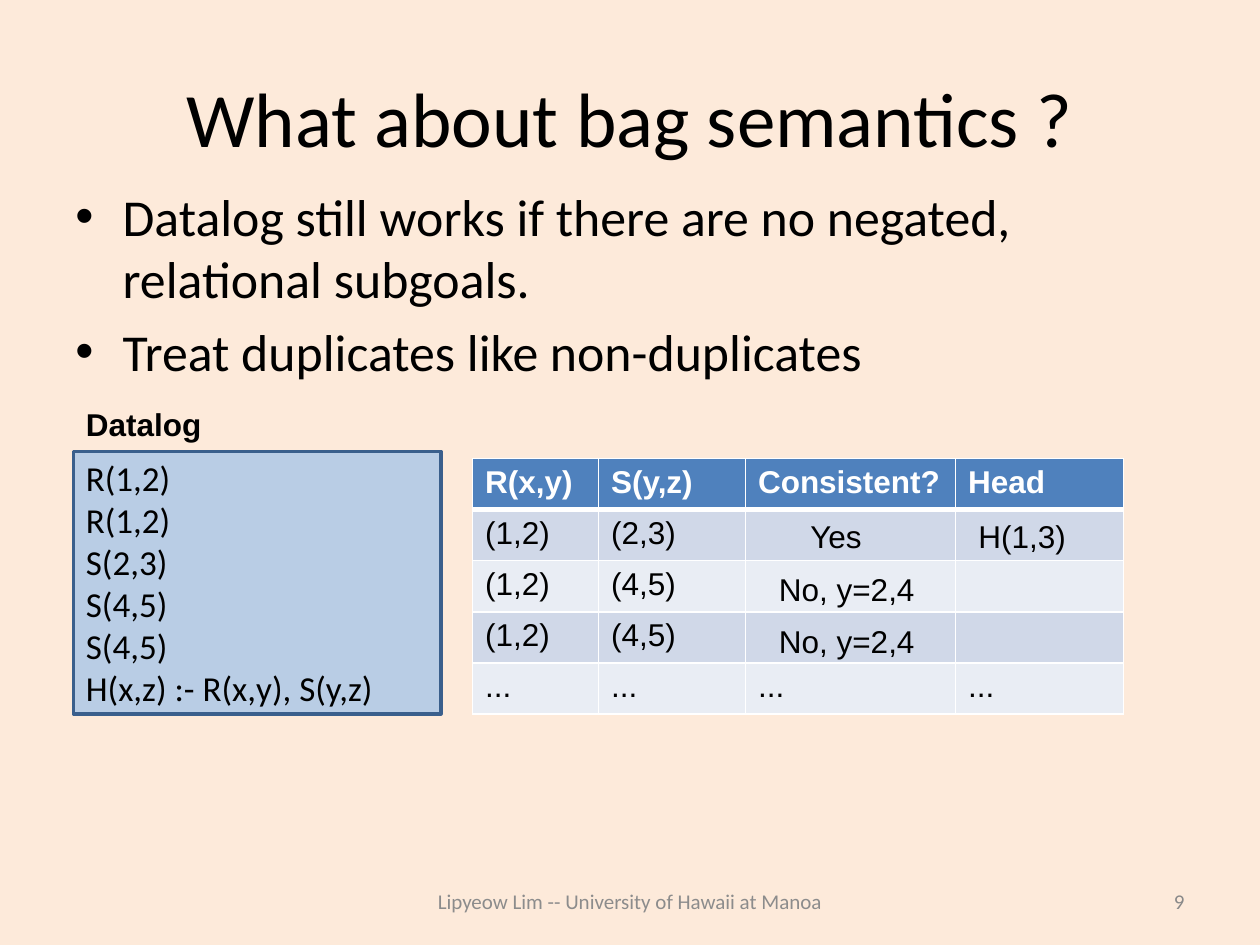
from lxml.etree import SubElement
from pptx import Presentation
from pptx.dml.color import RGBColor
from pptx.enum.shapes import MSO_SHAPE
from pptx.enum.text import MSO_ANCHOR as ANCHOR, MSO_AUTO_SIZE as AUTO, PP_ALIGN as ALIGN
from pptx.oxml.ns import qn
from pptx.util import Pt

PEACH = RGBColor(0xFD, 0xEA, 0xDA)
BLACK = RGBColor(0, 0, 0)
WHITE = RGBColor(0xFF, 0xFF, 0xFF)
FOOTER_GRAY = RGBColor(0x8C, 0x8C, 0x8C)
NUMBER_GRAY = RGBColor(0x89, 0x89, 0x89)
BOX_FILL = RGBColor(0xB9, 0xCD, 0xE5)
BOX_LINE = RGBColor(0x3A, 0x5F, 0x8C)
HEADER_BLUE = RGBColor(0x4F, 0x81, 0xBD)
BAND_DARK = RGBColor(0xD0, 0xD8, 0xE8)
BAND_LIGHT = RGBColor(0xE9, 0xED, 0xF4)


def write(tf, text, size=18, font="Arial", color=BLACK, bold=False,
          align=ALIGN.LEFT, anchor=None, bullet=False, gap=0):
    """Fill a text frame, one paragraph per line of text."""
    if anchor is not None:
        tf.vertical_anchor = anchor
    for i, line in enumerate(text.split("\n")):
        p = tf.add_paragraph() if i else tf.paragraphs[0]
        p.alignment = align
        if bullet:
            pPr = p._p.get_or_add_pPr()
            pPr.set("marL", str(Pt(27)))
            pPr.set("indent", str(Pt(-27)))
            SubElement(pPr, qn("a:buFont"), typeface="Arial")
            SubElement(pPr, qn("a:buChar"), char="•")
        if i and gap:
            p.space_before = Pt(gap)
        r = p.add_run()
        r.text = line
        r.font.size, r.font.name, r.font.bold = Pt(size), font, bold
        r.font.color.rgb = color


def add_text(left, top, width, height, text, wrap=True, **fmt):
    tf = s.shapes.add_textbox(Pt(left), Pt(top), Pt(width), Pt(height)).text_frame
    tf.word_wrap = wrap
    tf.auto_size = AUTO.NONE if wrap else AUTO.SHAPE_TO_FIT_TEXT
    write(tf, text, **fmt)


prs = Presentation()
prs.slide_width, prs.slide_height = Pt(720), Pt(540)
s = prs.slides.add_slide(prs.slide_layouts[6])
s.background.fill.solid()
s.background.fill.fore_color.rgb = PEACH

# Title and bullets
add_text(36, 21.6, 648, 90, "What about bag semantics ?", size=44, font="Calibri",
         align=ALIGN.CENTER, anchor=ANCHOR.MIDDLE)
add_text(36, 102, 648, 120,
         "Datalog still works if there are no negated, relational subgoals.\n"
         "Treat duplicates like non-duplicates",
         size=29.6, font="Calibri", bullet=True, gap=6)

# Footer and slide number
add_text(216, 500.5, 288, 28.75, "Lipyeow Lim -- University of Hawaii at Manoa", size=12,
         font="Calibri", color=FOOTER_GRAY, align=ALIGN.CENTER, anchor=ANCHOR.MIDDLE)
add_text(516, 500.5, 168, 28.75, "9", size=12, font="Calibri", color=NUMBER_GRAY,
         align=ALIGN.RIGHT, anchor=ANCHOR.MIDDLE)

# Datalog program
sp = s.shapes.add_shape(MSO_SHAPE.RECTANGLE, Pt(42), Pt(258), Pt(210), Pt(150))
sp.shadow.inherit = False
sp.fill.solid()
sp.fill.fore_color.rgb = BOX_FILL
sp.line.color.rgb = BOX_LINE
sp.line.width = Pt(2)
write(sp.text_frame, "R(1,2)\nR(1,2)\nS(2,3)\nS(4,5)\nS(4,5)\nH(x,z) :- R(x,y), S(y,z)",
      size=20, font="Calibri", anchor=ANCHOR.MIDDLE)
add_text(42, 228, 81, 29, "Datalog", wrap=False, bold=True)

# Table of tuple assignments
rows = [
    ["R(x,y)", "S(y,z)", "Consistent?", "Head"],
    ["(1,2)", "(2,3)", "", ""],
    ["(1,2)", "(4,5)", "", ""],
    ["(1,2)", "(4,5)", "", ""],
    ["..."] * 4,
]
widths = [72, 84, 120, 96]
row_height = 29.2
table = s.shapes.add_table(len(rows), len(widths), Pt(270), Pt(262),
                           Pt(sum(widths)), Pt(row_height * len(rows))).table
for col, width in zip(table.columns, widths):
    col.width = Pt(width)
for i, row in enumerate(rows):
    table.rows[i].height = Pt(row_height)
    header = i == 0
    for j, text in enumerate(row):
        cell = table.cell(i, j)
        if text:
            write(cell.text_frame, text, bold=header, color=WHITE if header else BLACK)
        # Borders come before the fill in the cell properties
        tcPr = cell._tc.get_or_add_tcPr()
        for side in "LRTB":
            thick = (header and side == "B") or (i == 1 and side == "T")
            ln = SubElement(tcPr, qn(f"a:ln{side}"), w=str(Pt(3 if thick else 1)))
            SubElement(SubElement(ln, qn("a:solidFill")), qn("a:srgbClr"), val=str(WHITE))
        cell.fill.solid()
        cell.fill.fore_color.rgb = HEADER_BLUE if header else BAND_DARK if i % 2 else BAND_LIGHT

# Answers laid over the table
for left, top, width, text in [
    (456, 292, 44, "Yes"),
    (438, 322, 93, "No, y=2,4"),
    (438, 352, 93, "No, y=2,4"),
    (552, 292, 65, "H(1,3)"),
]:
    add_text(left, top, width, 29, text, wrap=False)

prs.save("out.pptx")
